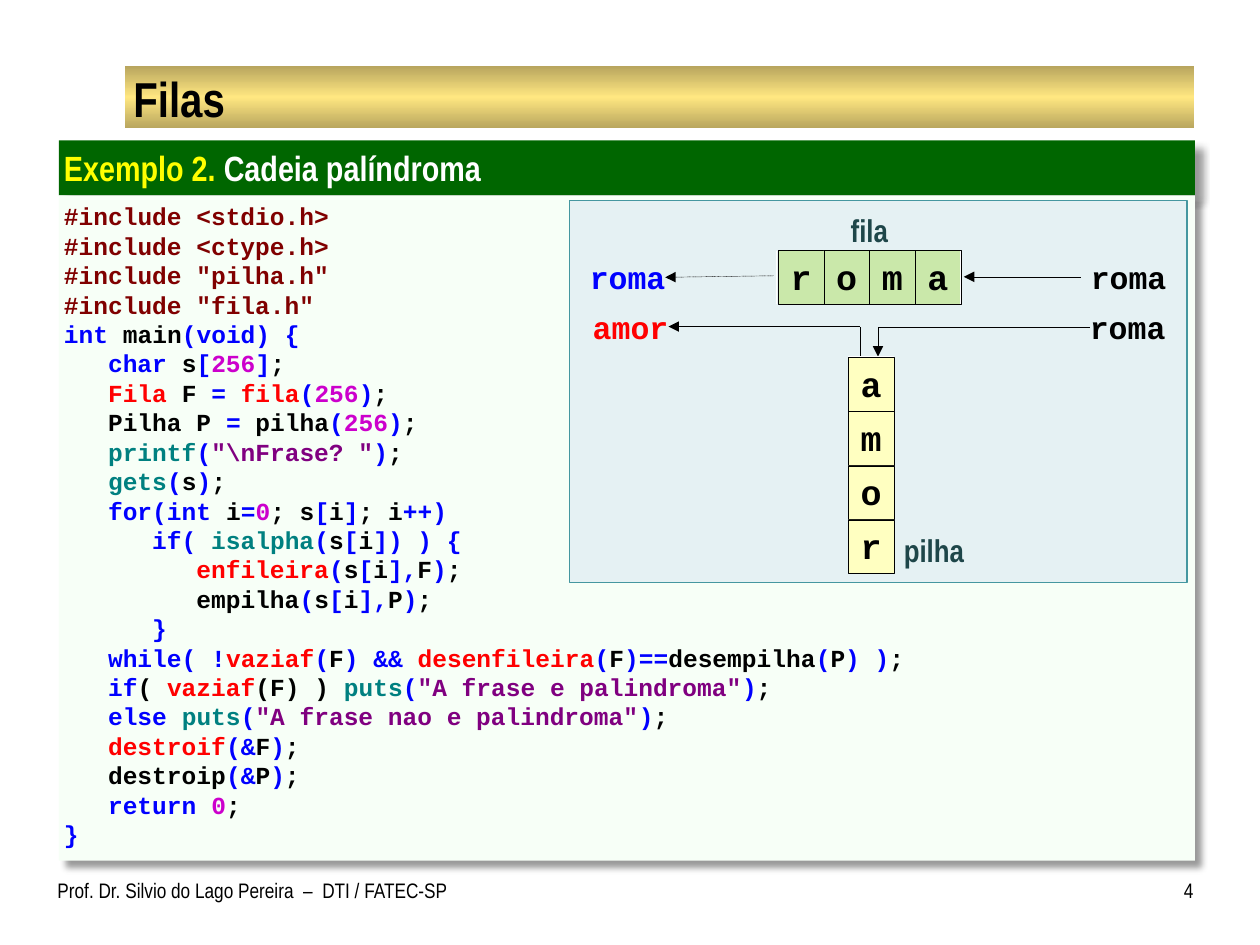
"""Build the slide about queues with the palindrome example."""
from copy import deepcopy

from lxml.etree import SubElement
from pptx import Presentation
from pptx.dml.color import RGBColor
from pptx.enum.dml import MSO_LINE
from pptx.enum.shapes import MSO_CONNECTOR, MSO_SHAPE
from pptx.enum.text import MSO_ANCHOR, PP_ALIGN
from pptx.oxml.ns import qn
from pptx.util import Cm, Pt

COLORS = {
    "k": "000000", "w": "FFFFFF", "b": "0000FF", "r": "FF0000",
    "m": "800000", "p": "CC00CC", "t": "008080", "v": "800080",
    "yellow": "FFFF00", "green": "006600", "mint": "F7FFF7",
    "gold": "B8A55E", "light gold": "FFE781", "panel": "E5F1F3",
    "border": "4597A0", "label": "1E4649", "queue": "CAE8AA", "stack": "FFFFC1",
}
SANS, MONO = "Arial Narrow", "Courier New"
CELL_W, CELL_H = 0.92, 1.08

CODE = [
    (0, "m:#include <stdio.h>"),
    (0, "m:#include <ctype.h>"),
    (0, 'm:#include "pilha.h"'),
    (0, 'm:#include "fila.h"'),
    (0, "b:int|k: main|b:(void) {"),
    (1, "b:char|k: s|b:[|p:256|b:]|k:;"),
    (1, "r:Fila|k: F |b:= |r:fila|b:(|p:256|b:)|k:;"),
    (1, "k:Pilha P |b:=|k: pilha|b:(|p:256|b:)|k:;"),
    (1, 't:printf|b:(|v:"\\nFrase? "|b:)|k:;'),
    (1, "t:gets|b:(|k:s|b:)|k:;"),
    (1, "b:for(int |k:i|b:=|p:0|k:; s|b:[|k:i|b:]|k:; i|b:++)"),
    (2, "b:if( |t:isalpha|b:(|k:s|b:[|k:i|b:]) ) {"),
    (3, "r:enfileira|b:(|k:s|b:[|k:i|b:],|k:F|b:)|k:;"),
    (3, "k:empilha|b:(|k:s|b:[|k:i|b:],|k:P|b:)|k:;"),
    (2, "b:}"),
    (1, "b:while( !|r:vaziaf|b:(|k:F|b:) && |r:desenfileira|b:(|k:F|b:)==|"
        "k:desempilha|b:(|k:P|b:) )|k:;"),
    (1, 'b:if|k:( |r:vaziaf|k:(F) ) |t:puts|b:(|v:"A frase e palindroma"|b:)|k:;'),
    (1, 'b:else |t:puts|b:(|v:"A frase nao e palindroma"|b:)|k:;'),
    (1, "r:destroif|b:(&|k:F|b:)|k:;"),
    (1, "k:destroip|b:(&|k:P|b:)|k:;"),
    (1, "b:return |p:0|k:;"),
    (0, "b:}"),
]


def rgb(name):
    """Return the named colour."""
    return RGBColor.from_string(COLORS[name])


def add_run(p, text, color, size, font, bold=True):
    """Append a formatted run to a paragraph."""
    r = p.add_run()
    r.text = text
    r.font.name, r.font.size, r.font.bold = font, Pt(size), bold
    r.font.color.rgb = rgb(color)


def set_frame(tf, ins, anchor=MSO_ANCHOR.TOP, wrap=True):
    """Set the insets, anchor and wrapping of a text frame."""
    tf.margin_left, tf.margin_top, tf.margin_right, tf.margin_bottom = map(Cm, ins)
    tf.vertical_anchor, tf.word_wrap = anchor, wrap


def add_box(s, x, y, w, h, fill=None, line=None, width=0.25):
    """Add a flat rectangle."""
    sp = s.shapes.add_shape(MSO_SHAPE.RECTANGLE, Cm(x), Cm(y), Cm(w), Cm(h))
    sp.shadow.inherit = False
    if fill:
        sp.fill.solid()
        sp.fill.fore_color.rgb = rgb(fill)
    if line:
        sp.line.color.rgb = rgb(line)
        sp.line.width = Pt(width)
    else:
        sp.line.fill.background()
    return sp


def add_shadow(sp):
    """Give a shape a soft shadow to the lower right."""
    effects = sp._element.spPr.find(qn("a:effectLst"))
    shadow = SubElement(effects, qn("a:outerShdw"), blurRad=str(Pt(4)),
                        dist=str(Pt(6)), dir="2700000", algn="tl", rotWithShape="0")
    color = SubElement(shadow, qn("a:srgbClr"), val=COLORS["k"])
    SubElement(color, qn("a:alpha"), val="40000")


def add_text(s, x, y, w, h, text, color, size, font=SANS, bold=True,
             ins=(0, 0, 0, 0), align=PP_ALIGN.LEFT, anchor=MSO_ANCHOR.TOP):
    """Add a one-line text box."""
    tf = s.shapes.add_textbox(Cm(x), Cm(y), Cm(w), Cm(h)).text_frame
    set_frame(tf, ins, anchor)
    p = tf.paragraphs[0]
    p.alignment = align
    add_run(p, text, color, size, font, bold)


def add_line(s, x1, y1, x2, y2, color="w", width=0.75, kind=MSO_CONNECTOR.STRAIGHT):
    """Add a plain connector."""
    c = s.shapes.add_connector(kind, Cm(x1), Cm(y1), Cm(x2), Cm(y2))
    c.line.color.rgb = rgb(color)
    c.line.width = Pt(width)
    SubElement(c._element.spPr, qn("a:effectLst"))
    return c


def add_arrow(s, x1, y1, x2, y2, turn=None):
    """Add a dotted arrow, bent once and rotated when a turn is given."""
    kind = MSO_CONNECTOR.STRAIGHT if turn is None else MSO_CONNECTOR.ELBOW
    c = add_line(s, x1, y1, x2, y2, "k", 0.25, kind)
    c.line.dash_style = MSO_LINE.ROUND_DOT
    SubElement(c.line._get_or_add_ln(), qn("a:tailEnd"), type="triangle")
    if turn is not None:
        spPr = c._element.spPr
        spPr.find(qn("a:xfrm")).set("rot", str(turn * 60000))
        spPr.find(qn("a:prstGeom")).set("prst", "bentConnector2")


def add_cells(s, word, x, y, dx, dy, fill):
    """Add one cell per letter, stepping by dx and dy."""
    for i, letter in enumerate(word):
        sp = add_box(s, x + i * dx, y + i * dy, CELL_W, CELL_H, fill, "k")
        set_frame(sp.text_frame, (0, 0.05, 0, 0.08), MSO_ANCHOR.MIDDLE)
        p = sp.text_frame.paragraphs[0]
        p.alignment = PP_ALIGN.CENTER
        add_run(p, letter, "k", 20, MONO)


def add_title(s):
    """Add the title over its golden bar."""
    bar = add_box(s, 2.52, 1.33, 21.55, 1.26)
    bar.fill.gradient()
    bar.fill.gradient_angle = 90
    edge, middle = bar.fill.gradient_stops
    edge.color.rgb, middle.color.rgb = rgb("gold"), rgb("light gold")
    edge.position, middle.position = 0, 0.5
    stops = bar._element.spPr.find(qn("a:gradFill")).find(qn("a:gsLst"))
    last = deepcopy(stops[0])
    last.set("pos", "100000")
    stops.append(last)
    add_text(s, 2.54, 1.37, 21.51, 1.19, "Filas", "k", 28,
             ins=(0.15, 0.03, 0.15, 0.03), anchor=MSO_ANCHOR.MIDDLE)


def add_example(s):
    """Add the example heading and its program."""
    head = add_box(s, 1.19, 2.83, 22.9, 1.11, "green")
    body = add_box(s, 1.19, 3.94, 22.9, 13.41, "mint")
    for sp in (head, body):
        add_shadow(sp)
        set_frame(sp.text_frame, (0.1, 0.12, 0.1, 0.12))
    p = head.text_frame.paragraphs[0]
    p.alignment = PP_ALIGN.LEFT
    add_run(p, "Exemplo 2.", "yellow", 20, SANS)
    add_run(p, " Cadeia palíndroma", "w", 20, SANS)
    for i, (level, line) in enumerate(CODE):
        tf = body.text_frame
        p = tf.add_paragraph() if i else tf.paragraphs[0]
        p.alignment, p.line_spacing = PP_ALIGN.LEFT, Pt(16.8)
        p._p.get_or_add_pPr().set("marL", str(Cm(0.89 * level)))
        for token in line.split("|"):
            color, _, text = token.partition(":")
            add_run(p, text, color, 14, MONO)


def add_diagram(s):
    """Add the queue and the stack with their inputs and outputs."""
    add_box(s, 11.48, 4.04, 12.45, 7.7, "panel", "border", 0.75)
    for x, y, word, color in ((21.99, 5.21, "roma", "k"), (11.89, 5.21, "roma", "b"),
                              (11.95, 6.2, "amor", "r"), (21.97, 6.2, "roma", "k")):
        add_text(s, x, y, 1.6, 0.76, word, color, 18, MONO)
    add_text(s, 17.15, 4.26, 0.9, 0.76, "fila", "label", 18)
    add_text(s, 18.22, 10.71, 1.4, 0.76, "pilha", "label", 18)
    add_arrow(s, 15.6, 5.56, 13.41, 5.59)
    add_arrow(s, 21.79, 5.58, 19.43, 5.58)
    add_arrow(s, 15.11, 8.81, 15.7, 4.95, 270)
    add_arrow(s, 17.7, 7.19, 21.97, 6.6, 180)
    add_cells(s, "amor", 17.1, 7.21, 0, 1.09, "stack")
    add_line(s, 17.1, 7.19, 17.1 + CELL_W, 7.19)
    add_cells(s, "roma", 15.69, 5.05, CELL_W, 0, "queue")
    for x in (15.66, 15.68 + 4 * CELL_W):
        add_line(s, x, 5.05, x, 5.05 + CELL_H)


def add_footer(s):
    """Add the author line and the slide number."""
    add_text(s, 1.16, 17.56, 8.31, 1.07,
             "Prof. Dr. Silvio do Lago Pereira  –  DTI / FATEC-SP", "k", 12,
             bold=False, ins=(0, 0.13, 0.25, 0.13))
    add_text(s, 23.07, 17.56, 0.99, 1.07, "4", "k", 12, bold=False,
             ins=(0.25, 0.13, 0, 0.13), align=PP_ALIGN.RIGHT)


def main():
    """Build and save the slide."""
    prs = Presentation()
    prs.slide_width, prs.slide_height = Cm(25.4), Cm(19.05)
    s = prs.slides.add_slide(prs.slide_layouts[6])
    add_title(s)
    add_example(s)
    add_footer(s)
    add_diagram(s)
    prs.save("out.pptx")


main()
